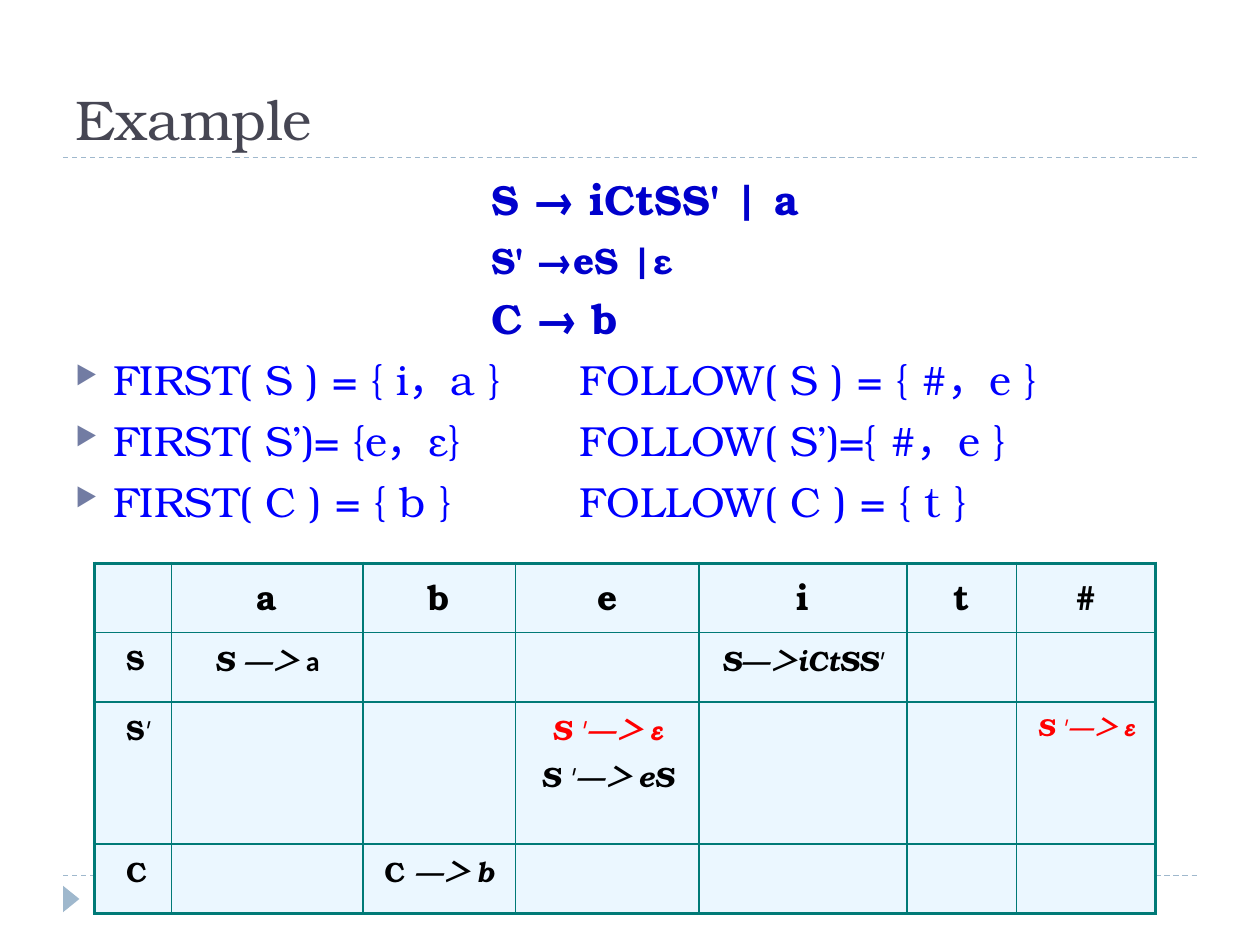
from dataclasses import dataclass
from lxml.etree import SubElement
from pptx import Presentation
from pptx.dml.color import RGBColor
from pptx.enum.dml import MSO_LINE
from pptx.enum.shapes import MSO_CONNECTOR, MSO_SHAPE
from pptx.enum.text import MSO_ANCHOR, PP_ALIGN
from pptx.oxml.ns import qn
from pptx.util import Inches, Pt


@dataclass(frozen=True)
class Theme:
    """Colours, fonts and type sizes of the slide."""
    serif: str = "TeX Gyre Bonum"
    sans: str = "Calibri"
    title: str = "464653"
    rule: str = "9FB8CD"
    bullet: str = "727CA3"
    grammar: str = "0000CC"
    sets: str = "0000FF"
    ink: str = "000000"
    conflict: str = "FF0000"
    cell: str = "EBF7FF"
    border: str = "007A77"
    title_size: int = 32
    body_size: int = 24
    epsilon_size: int = 21
    header_size: int = 20
    entry_size: int = 16
    small_size: int = 14


THEME = Theme()

GRAMMAR = [
    ("S → iCtSS' | a", THEME.body_size, 0),
    ("S' →eS |ε", THEME.epsilon_size, 8),
    ("C → b", THEME.body_size, 6),
]
SETS = [
    "FIRST( S ) = { i，a } \tFOLLOW( S ) = { #，e }",
    "FIRST( S’)= {e，ε} \tFOLLOW( S’)={ #，e }",
    "FIRST( C ) = { b } \tFOLLOW( C ) = { t }",
]

COLUMNS = [0.61, 1.52, 1.21, 1.46, 1.65, 0.87, 1.1]
ROWS = [0.55, 0.55, 1.13, 0.55]
SYMBOLS = ["", "a", "b", "e", "i", "t", "#"]
ITALIC = {"italic": True}
RED = {"italic": True, "color": THEME.conflict}
SMALL_RED = {**RED, "size": THEME.small_size}
ENTRIES = {
    (1, 0): [[("S", {})]],
    (1, 1): [[("S —＞ ", ITALIC), ("a", {"font": THEME.sans})]],
    (1, 4): [[("S—＞iCtSS′", ITALIC)]],
    (2, 0): [[("S", {}), ("′", ITALIC)]],
    (2, 3): [[("S ′—＞ ε", RED)], [("S ′—＞ eS", ITALIC)]],
    (2, 6): [[("S ′—＞ ε", SMALL_RED)]],
    (3, 0): [[("C", {})]],
    (3, 2): [[("C ", {}), ("—＞ b", ITALIC)]],
}


def add_run(paragraph, text, size, color=THEME.ink, bold=False, italic=False, font=THEME.serif):
    """Append one formatted run to a paragraph."""
    run = paragraph.add_run()
    run.text = text
    run.font.name = font
    run.font.size = Pt(size)
    run.font.bold = bold
    run.font.italic = italic
    run.font.color.rgb = RGBColor.from_string(color)


def add_text_frame(slide, left, top, width, height):
    """Add a wrapping text box and return its frame."""
    frame = slide.shapes.add_textbox(left, top, width, height).text_frame
    frame.word_wrap = True
    return frame


def next_paragraph(frame, index):
    """Return the first paragraph of a frame, or a new one after it."""
    return frame.add_paragraph() if index else frame.paragraphs[0]


def set_bullet(paragraph, indent, tab):
    """Give a paragraph a hanging triangle bullet and one tab stop."""
    props = paragraph._p.get_or_add_pPr()
    props.set("marL", str(indent))
    props.set("indent", str(-indent))
    color = SubElement(props, qn("a:buClr"))
    SubElement(color, qn("a:srgbClr"), val=THEME.bullet)
    SubElement(props, qn("a:buSzPct"), val="60000")
    SubElement(props, qn("a:buChar"), char="▶")
    tabs = SubElement(props, qn("a:tabLst"))
    SubElement(tabs, qn("a:tab"), pos=str(tab), algn="l")


def add_rule(slide, left, top, width):
    """Draw a dashed horizontal rule."""
    rule = slide.shapes.add_connector(MSO_CONNECTOR.STRAIGHT, left, top, left + width, top)
    rule.line.color.rgb = RGBColor.from_string(THEME.rule)
    rule.line.width = Pt(0.75)
    rule.line.dash_style = MSO_LINE.DASH
    SubElement(rule._element.spPr, qn("a:effectLst"))


def add_title(slide, left, top, width, height):
    """Place the title with the rule along its lower edge."""
    add_rule(slide, left, top + height, width)
    frame = add_text_frame(slide, left, top, width, height)
    frame.vertical_anchor = MSO_ANCHOR.BOTTOM
    add_run(frame.paragraphs[0], "Example", THEME.title_size, THEME.title)


def add_footer(slide, left, top, width):
    """Place the footer rule and its page marker."""
    add_rule(slide, left, top, width)
    marker = slide.shapes.add_shape(
        MSO_SHAPE.ISOSCELES_TRIANGLE, left - Inches(0.04), top + Inches(0.12),
        Inches(0.21), Inches(0.13))
    marker.rotation = 90
    marker.shadow.inherit = False
    marker.fill.solid()
    marker.fill.fore_color.rgb = RGBColor.from_string(THEME.rule)
    marker.line.fill.background()


def add_body(slide, left, top, width, height):
    """Place the grammar and its FIRST and FOLLOW sets."""
    frame = add_text_frame(slide, left, top, width, height)
    for index, (production, size, gap) in enumerate(GRAMMAR):
        paragraph = next_paragraph(frame, index)
        paragraph._p.get_or_add_pPr().set("marL", str(Inches(3.3)))
        if gap:
            paragraph.space_before = Pt(gap)
        add_run(paragraph, production, size, THEME.grammar, bold=True)
    for sets in SETS:
        paragraph = frame.add_paragraph()
        paragraph.space_before = Pt(6)
        set_bullet(paragraph, Inches(0.3), Inches(4))
        add_run(paragraph, sets, THEME.body_size, THEME.sets)


def style_cell(cell, row, column):
    """Fill a cell and draw its borders, heavier on the table's outer edge."""
    props = cell._tc.get_or_add_tcPr()
    outer = {"L": column == 0, "R": column == len(COLUMNS) - 1,
             "T": row == 0, "B": row == len(ROWS) - 1}
    for side, heavy in outer.items():
        edge = SubElement(props, qn(f"a:ln{side}"), w=str(Pt(2.25 if heavy else 1)))
        fill = SubElement(edge, qn("a:solidFill"))
        SubElement(fill, qn("a:srgbClr"), val=THEME.border)
    cell.fill.solid()
    cell.fill.fore_color.rgb = RGBColor.from_string(THEME.cell)


def fill_cell(cell, row, column):
    """Write the symbol or the productions of one cell."""
    header = row == 0
    if column == 0:
        cell.margin_left = Inches(0.25)
    lines = [[(SYMBOLS[column], {})]] if header and column else ENTRIES.get((row, column), [])
    if len(lines) > 1:
        cell.margin_left = cell.margin_right = Inches(0.18)
    for index, line in enumerate(lines):
        paragraph = next_paragraph(cell.text_frame, index)
        paragraph.alignment = PP_ALIGN.CENTER if column else PP_ALIGN.LEFT
        if index:
            paragraph.space_before = Pt(3)
        size = THEME.header_size if header else THEME.entry_size
        for text, style in line:
            add_run(paragraph, text, **{"size": size, "bold": True, **style})


def add_parsing_table(slide, left, top, width, height):
    """Place the LL(1) parsing table."""
    table = slide.shapes.add_table(len(ROWS), len(COLUMNS), left, top, width, height).table
    table.first_row = table.horz_banding = False
    for column, share in zip(table.columns, COLUMNS):
        column.width = Inches(share)
    for row_index, row in enumerate(table.rows):
        row.height = Inches(ROWS[row_index])
        for column_index, cell in enumerate(row.cells):
            style_cell(cell, row_index, column_index)
            fill_cell(cell, row_index, column_index)


def main():
    """Build the slide and save it."""
    deck = Presentation()
    deck.slide_width, deck.slide_height = Inches(10), Inches(7.5)
    slide = deck.slides.add_slide(deck.slide_layouts[6])
    left, width = Inches(0.5), Inches(9)
    add_footer(slide, left, Inches(6.95), width)
    add_title(slide, left, Inches(0.17), width, Inches(1.08))
    add_body(slide, left, Inches(1.33), width, Inches(2.97))
    add_parsing_table(slide, Inches(0.75), Inches(4.47), Inches(sum(COLUMNS)), Inches(sum(ROWS)))
    deck.save("out.pptx")


if __name__ == "__main__":
    main()
